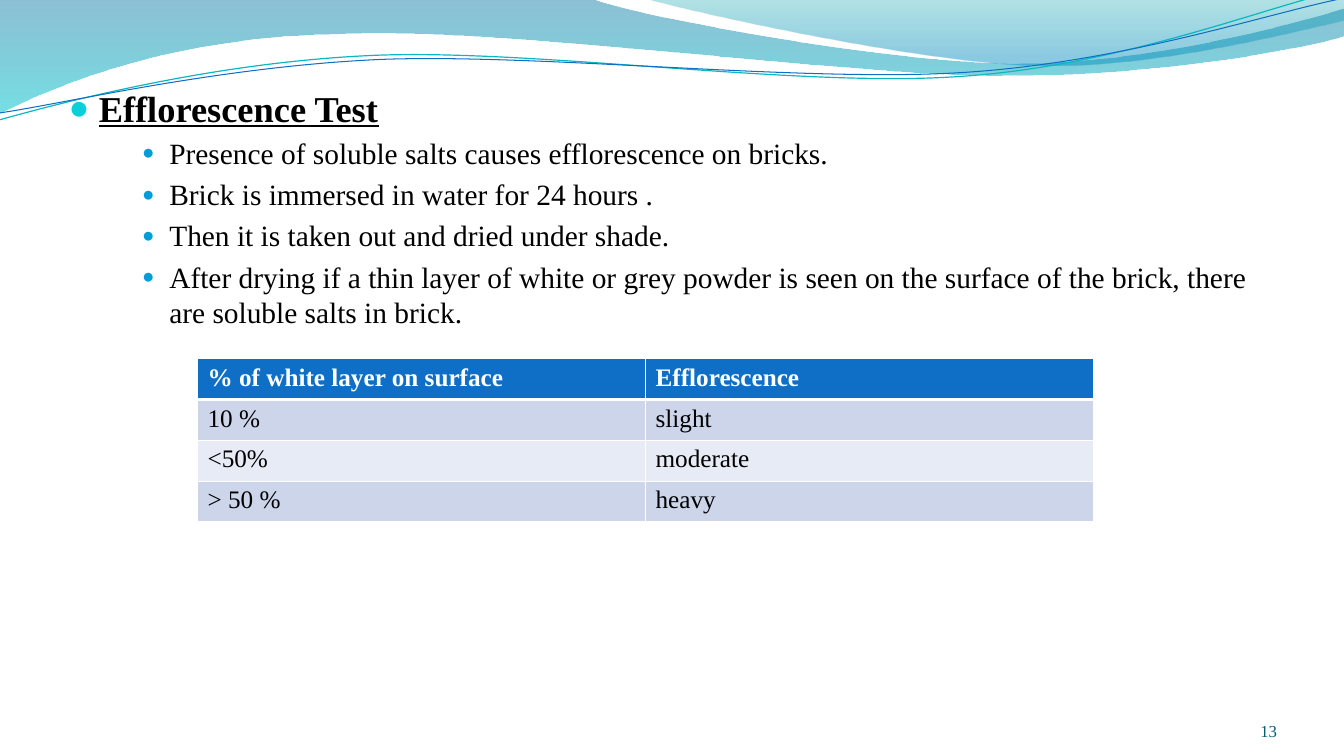
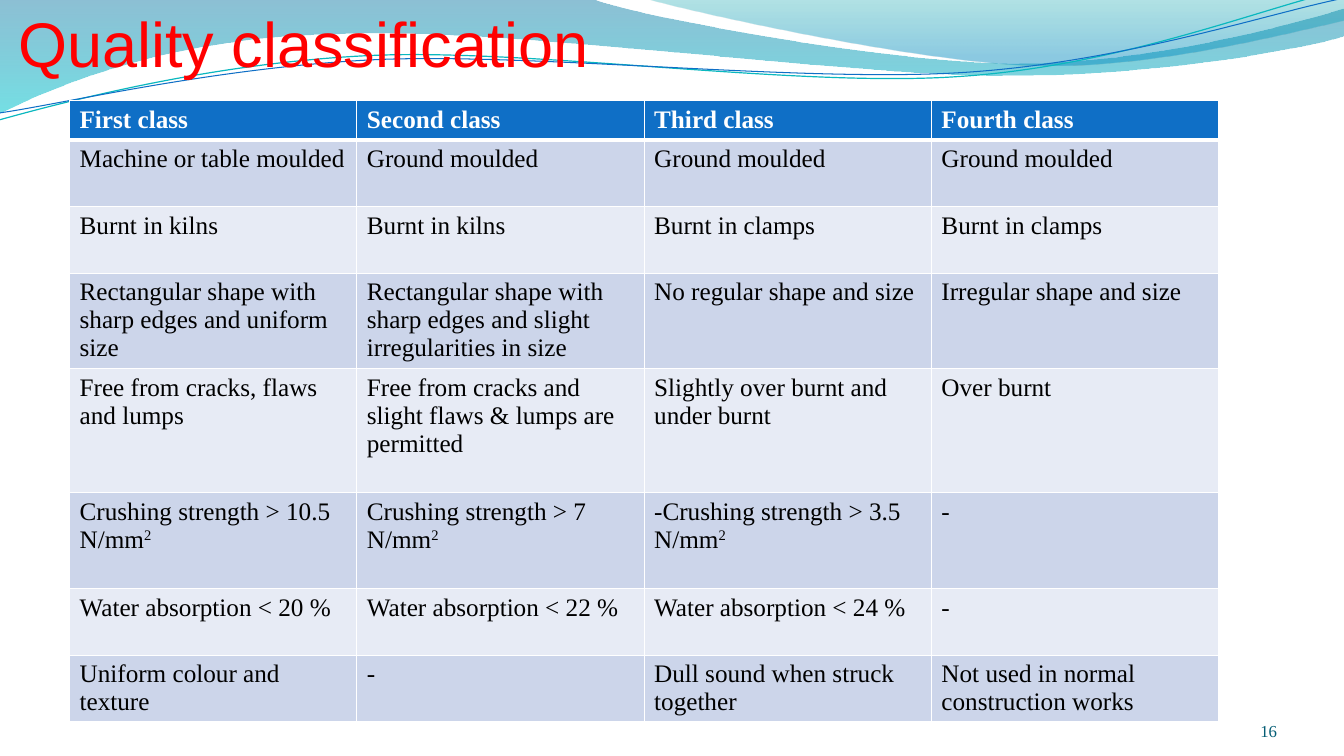
from dataclasses import dataclass
from typing import Any

from lxml.etree import SubElement
from pptx import Presentation
from pptx.dml.color import RGBColor as Rgb
from pptx.enum.text import MSO_ANCHOR as Anchor, MSO_AUTO_SIZE as AutoSize, PP_ALIGN as Align
from pptx.oxml import parse_xml
from pptx.oxml.ns import nsdecls, qn
from pptx.util import Inches, Pt

Point = tuple[float, float]


# Theme: colours, fonts and type sizes
@dataclass(frozen=True)
class Theme:
    serif: str = "Times New Roman"
    sans: str = "Arial"
    black: str = "000000"
    white: str = "FFFFFF"
    title: str = "FF0000"
    number: str = "045D75"
    header: str = "0F6FC6"
    bands: tuple[str, str] = ("CCD5EA", "E7EBF5")
    title_size: float = 45
    heading_size: float = 26
    point_size: float = 21
    table_size: float = 18
    number_size: float = 12


THEME = Theme()


@dataclass(frozen=True)
class Stop:
    position: float
    color: str
    opacity: int


@dataclass(frozen=True)
class Wave:
    """An outline whose segments hold one point (line) or three (curve)."""
    start: Point
    segments: tuple[tuple[Point, ...], ...]
    stops: tuple[Stop, ...] = ()
    line: str = ""
    weight: float = 0


@dataclass(frozen=True)
class Bullet:
    color: str
    percent: int
    left: float
    hang: float
    level: int


@dataclass(frozen=True)
class Grid:
    left: float
    top: float
    column_width: float
    row_heights: tuple[float, ...]
    rows: tuple[tuple[str, ...], ...]


WAVES = (
    Wave((0, 0), (
        ((5.87, -0.01),),
        ((6.34, 0.17), (8.85, 0.63), (10.11, 0.63)),
        ((11.38, 0.63), (12.78, 0.26), (13.33, 0.09)),
        ((13.35, 0.36),),
        ((13.11, 0.44), (11.6, 0.76), (9.94, 0.75)),
        ((8.29, 0.75), (5.09, 0.28), (3.43, 0.34)),
        ((1.72, 0.36), (0.61, 0.83), (-0.01, 1.13)),
    ), stops=(Stop(0, "0074A1", 45), Stop(1, "00C6CF", 55))),
    Wave((6.39, -0.01), (
        ((6.79, 0.11), (9.09, 0.62), (10.25, 0.65)),
        ((11.41, 0.69), (12.82, 0.32), (13.33, 0.21)),
        ((13.33, 0),),
    ), stops=(Stop(0, "00A1A9", 30), Stop(0.8, "008BBF", 45))),
    Wave((-0.01, 1.19), (
        ((0.64, 1.01), (2.11, 0.62), (3.69, 0.55)),
        ((5.27, 0.48), (7.9, 0.87), (9.5, 0.76)),
        ((11.1, 0.66), (12.52, 0.08), (13.31, -0.1)),
    ), line="0AB8BF", weight=0.85),
    Wave((0, 1.12), (
        ((0.63, 1.03), (2.18, 0.66), (3.78, 0.59)),
        ((5.37, 0.53), (7.96, 0.82), (9.55, 0.72)),
        ((11.15, 0.62), (12.55, 0.14), (13.34, -0.02)),
    ), line="0F6FC6", weight=0.75),
)

HEADING_BULLET = Bullet("0BD0D9", 95, 0.3, 0.3, 0)
POINT_BULLET = Bullet("009DD9", 70, 1, 0.27, 2)

HEADING = "Efflorescence Test"
POINTS = (
    "Presence of soluble salts causes efflorescence on bricks.",
    "Brick is immersed in water for 24 hours .",
    "Then it is taken out and dried under shade.",
    "After drying if a thin layer of white or grey powder is seen on the surface "
    "of the brick, there are soluble salts in brick.",
)
EFFLORESCENCE = Grid(1.96, 3.56, 8.89 / 2, (1.62 / 4,) * 4, (
    ("% of white layer on surface", "Efflorescence"),
    ("10 %", "slight"),
    ("<50%", "moderate"),
    ("> 50 %", "heavy"),
))

# A caret marks the start of a superscript
CLASSES = Grid(0.69, 1, 2.85, (0.39, 0.66, 0.66, 0.95, 1.23, 0.95, 0.66, 0.66), (
    ("First class", "Second class", "Third class", "Fourth class"),
    ("Machine or table moulded",) + ("Ground moulded",) * 3,
    ("Burnt in kilns",) * 2 + ("Burnt in clamps",) * 2,
    ("Rectangular shape with sharp edges and uniform size",
     "Rectangular shape with sharp edges and slight irregularities in size",
     "No regular shape and size", "Irregular shape and size"),
    ("Free from cracks, flaws and lumps",
     "Free from cracks and slight flaws & lumps are permitted",
     "Slightly over burnt and under burnt", "Over burnt"),
    ("Crushing strength > 10.5 N/mm^2", "Crushing strength > 7 N/mm^2",
     "-Crushing strength > 3.5 N/mm^2", "-"),
    ("Water absorption < 20 %", "Water absorption < 22 %", "Water absorption < 24 %", "-"),
    ("Uniform colour and texture", "-", "Dull sound when struck together",
     "Not used in normal construction works"),
))


# Formatting helpers
def apply(target: Any, values: dict[str, Any]) -> None:
    for name, value in values.items():
        setattr(target, name, value)


def place(shape: Any, left: float, top: float, width: float, height: float) -> None:
    apply(shape, {"left": Inches(left), "top": Inches(top),
                  "width": Inches(width), "height": Inches(height)})


def add_span(para: Any, text: str, size: float, color: str, font: str = THEME.serif,
             **extra: Any) -> Any:
    span = para.add_run()
    span.text = text
    apply(span.font, {"name": font, "size": Pt(size), **extra})
    span.font.color.rgb = Rgb.from_string(color)
    return span


# Shared parts
def bend_segments(shape: Any, segments: tuple[tuple[Point, ...], ...]) -> None:
    """Join each run of three straight steps into one Bézier curve."""
    steps = iter(list(shape.element.iter(qn("a:lnTo"))))
    for segment in segments:
        first, *others = [next(steps) for _ in segment]
        if others:
            first.tag = qn("a:cubicBezTo")
        for step in others:
            first.append(step[0])
            step.getparent().remove(step)


def draw_wave(page: Any, wave: Wave) -> Any:
    points = [wave.start] + [point for segment in wave.segments for point in segment]
    lengths = [(Inches(x), Inches(y)) for x, y in points]
    builder = page.shapes.build_freeform(*lengths[0], scale=1.0)
    builder.add_line_segments(lengths[1:], close=bool(wave.stops))
    shape = builder.convert_to_shape()
    bend_segments(shape, wave.segments)
    shape.shadow.inherit = False
    if wave.line:
        shape.fill.background()
        shape.line.color.rgb = Rgb.from_string(wave.line)
        shape.line.width = Pt(wave.weight)
        return shape
    shape.line.fill.background()
    shape.fill.gradient()
    shape.fill.gradient_angle = 270
    for target, stop in zip(shape.fill.gradient_stops, wave.stops):
        target.position = stop.position
        target.color.rgb = Rgb.from_string(stop.color)
    for color, stop in zip(shape.element.iter(qn("a:srgbClr")), wave.stops):
        SubElement(color, qn("a:alpha"), val=str(stop.opacity * 1000))
    return shape


def draw_waves(page: Any) -> None:
    """Draw the top band behind the placeholders."""
    for depth, wave in enumerate(WAVES, start=2):
        page.shapes.element.insert(depth, draw_wave(page, wave).element)


def draw_number(page: Any, number: int) -> None:
    box = page.shapes.add_textbox(Inches(11.56), Inches(6.95), Inches(1.11), Inches(0.4))
    apply(box.text_frame, {"word_wrap": True, "vertical_anchor": Anchor.BOTTOM,
                           "margin_left": 0, "margin_top": 0,
                           "margin_right": 0, "margin_bottom": 0})
    para = box.text_frame.paragraphs[0]
    para.alignment = Align.RIGHT
    add_span(para, str(number), THEME.number_size, THEME.number)


# Tables
def set_borders(cell: Any, top: float, bottom: float) -> None:
    properties = cell._tc.get_or_add_tcPr()
    widths = {"lnL": 1, "lnR": 1, "lnT": top, "lnB": bottom}
    for index, (side, width) in enumerate(widths.items()):
        properties.insert(index, parse_xml(
            f'<a:{side} {nsdecls("a")} w="{Pt(width)}"><a:solidFill>'
            f'<a:srgbClr val="{THEME.white}"/></a:solidFill></a:{side}>'))


def fill_cell(cell: Any, text: str, row: int) -> None:
    is_header = row == 0
    cell.fill.solid()
    cell.fill.fore_color.rgb = Rgb.from_string(
        THEME.header if is_header else THEME.bands[(row - 1) % 2])
    set_borders(cell, top=3 if row == 1 else 1, bottom=3 if is_header else 1)
    base, _, raised = text.partition("^")
    para = cell.text_frame.paragraphs[0]
    color = THEME.white if is_header else THEME.black
    add_span(para, base, THEME.table_size, color, bold=is_header)
    if raised:
        span = add_span(para, raised, THEME.table_size, color, bold=False)
        span._r.get_or_add_rPr().set("baseline", "30000")


def draw_table(page: Any, grid: Grid) -> None:
    columns = len(grid.rows[0])
    table = page.shapes.add_table(
        len(grid.rows), columns, Inches(grid.left), Inches(grid.top),
        Inches(grid.column_width * columns), Inches(sum(grid.row_heights))).table
    for column in table.columns:
        column.width = Inches(grid.column_width)
    for row, (height, texts) in enumerate(zip(grid.row_heights, grid.rows)):
        table.rows[row].height = Inches(height)
        for column, text in enumerate(texts):
            fill_cell(table.cell(row, column), text, row)


# Slides
def set_bullet(para: Any, bullet: Bullet) -> None:
    para.level = bullet.level
    properties = para._p.get_or_add_pPr()
    properties.set("marL", str(Inches(bullet.left)))
    properties.set("indent", str(-Inches(bullet.hang)))
    color = SubElement(properties, qn("a:buClr"))
    SubElement(color, qn("a:srgbClr"), val=bullet.color)
    SubElement(properties, qn("a:buSzPct"), val=str(bullet.percent * 1000))
    SubElement(properties, qn("a:buChar"), char="●")


def build_efflorescence(deck: Any) -> None:
    page = deck.slides.add_slide(deck.slide_layouts[1])
    title = page.shapes.title.element
    title.getparent().remove(title)
    draw_waves(page)
    body = page.placeholders[1]
    place(body, 0.58, 0.8, 12, 6.15)
    body.text_frame.auto_size = AutoSize.NONE
    heading = body.text_frame.paragraphs[0]
    set_bullet(heading, HEADING_BULLET)
    add_span(heading, HEADING, THEME.heading_size, THEME.black, bold=True, underline=True)
    for text in POINTS:
        para = body.text_frame.add_paragraph()
        set_bullet(para, POINT_BULLET)
        add_span(para, text, THEME.point_size, THEME.black)
    draw_number(page, 13)
    draw_table(page, EFFLORESCENCE)


def build_classes(deck: Any) -> None:
    page = deck.slides.add_slide(deck.slide_layouts[5])
    draw_waves(page)
    title = page.shapes.title
    place(title, 0.18, 0, 11.63, 0.8)
    apply(title.text_frame, {"auto_size": AutoSize.NONE, "vertical_anchor": Anchor.BOTTOM,
                             "margin_left": 0, "margin_top": Inches(0.05),
                             "margin_right": 0, "margin_bottom": 0})
    para = title.text_frame.paragraphs[0]
    para.alignment = Align.LEFT
    add_span(para, "Quality classification", THEME.title_size, THEME.title, THEME.sans)
    draw_table(page, CLASSES)
    draw_number(page, 16)


def main() -> None:
    deck = Presentation()
    apply(deck, {"slide_width": Inches(7.5 * 16 / 9), "slide_height": Inches(7.5)})
    build_efflorescence(deck)
    build_classes(deck)
    deck.save("out.pptx")


if __name__ == "__main__":
    main()
